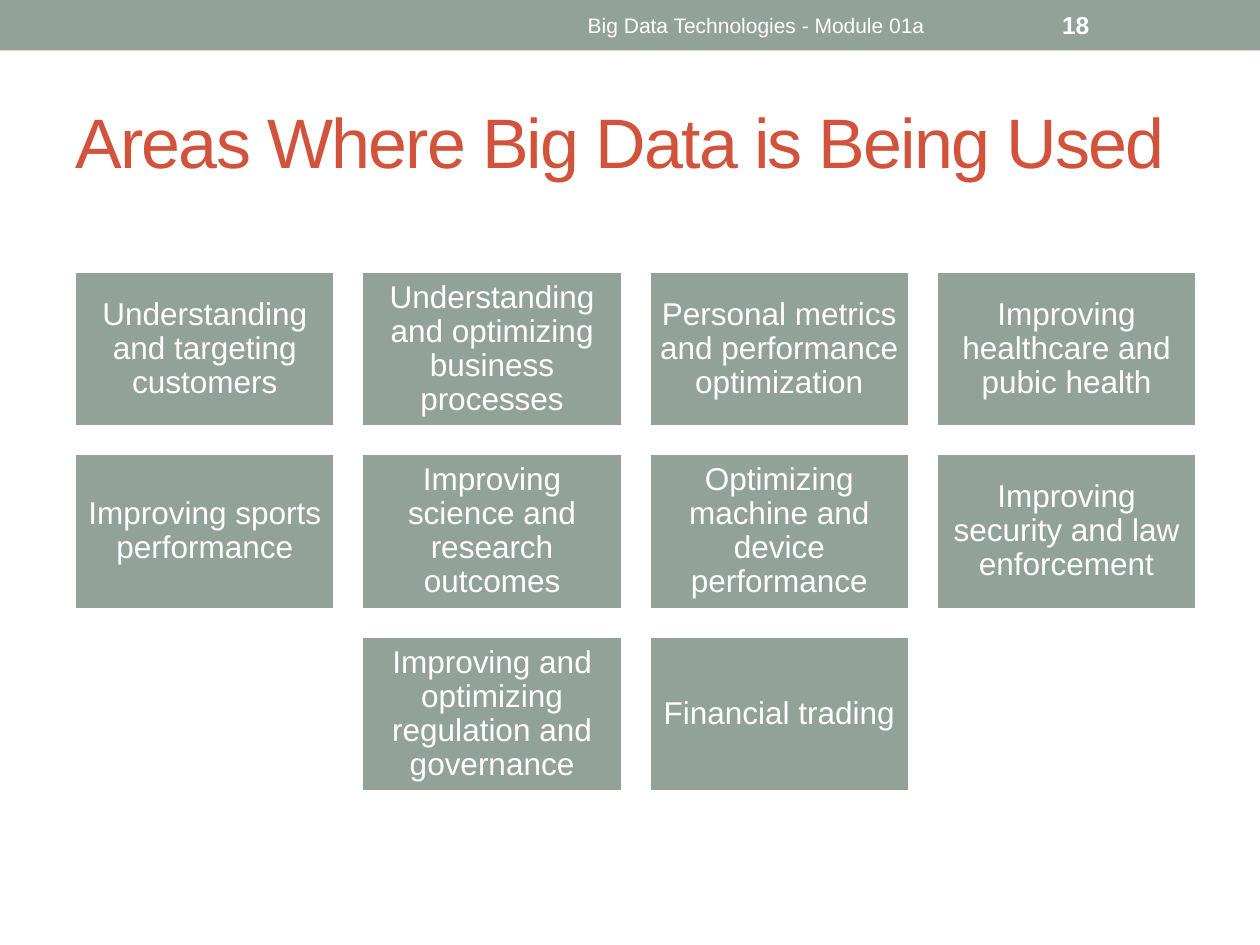
from pptx import Presentation
from pptx import util as u
from pptx.dml.color import RGBColor
from pptx.enum import shapes, text

SAGE, RUST, WHITE = "93A299", "D2533C", "FFFFFF"
COLUMNS = 4
AREA_ROWS = [
    ["Understanding and targeting customers",
     "Understanding and optimizing business processes",
     "Personal metrics and performance optimization",
     "Improving healthcare and pubic health"],
    ["Improving sports performance",
     "Improving science and research outcomes",
     "Optimizing machine and device performance",
     "Improving security and law enforcement"],
    ["Improving and optimizing regulation and governance",
     "Financial trading"],
]


def color(hex_code):
    return RGBColor.from_string(hex_code)


def write(holder, wording, size, hex_code=WHITE, align=text.PP_ALIGN.LEFT,
          bold=False, line_spacing=None, tracking=None, inset=None):
    frame = holder.text_frame
    frame.word_wrap = True
    frame.vertical_anchor = text.MSO_ANCHOR.MIDDLE
    if inset is not None:
        frame.margin_left = frame.margin_right = u.Cm(inset)
        frame.margin_top = frame.margin_bottom = u.Cm(inset)
    paragraph = frame.paragraphs[0]
    paragraph.alignment = align
    if line_spacing is not None:
        paragraph.line_spacing = line_spacing
    run = paragraph.add_run()
    run.text = wording
    run.font.name = "Arial"
    run.font.size = u.Pt(size)
    run.font.bold = bold
    run.font.color.rgb = color(hex_code)
    if tracking is not None:
        run.font._element.set("spc", str(tracking * 100))


def add_label(slide, wording, left, top, width, height, **style):
    label = slide.shapes.add_textbox(u.Cm(left), u.Cm(top), u.Cm(width), u.Cm(height))
    write(label, wording, **style)


def add_block(slide, left, top, width, height, outline=None):
    block = slide.shapes.add_shape(shapes.MSO_SHAPE.RECTANGLE, u.Cm(left),
                                   u.Cm(top), u.Cm(width), u.Cm(height))
    block.shadow.inherit = False
    block.fill.solid()
    block.fill.fore_color.rgb = color(SAGE)
    if outline:
        block.line.color.rgb = color(outline)
        block.line.width = u.Pt(2.08)
    else:
        block.line.fill.background()
    return block


def add_areas(slide, left=1.5, top=5.46, width=5.26, height=3.15, gap=0.53):
    for row, areas in enumerate(AREA_ROWS):
        first_column = (COLUMNS - len(areas)) / 2
        for column, area in enumerate(areas):
            tile = add_block(slide, left + (first_column + column) * (width + gap),
                             top + row * (height + gap), width, height, outline=WHITE)
            write(tile, area, size=18, align=text.PP_ALIGN.CENTER,
                  line_spacing=0.9, inset=0.18)


def main():
    deck = Presentation()
    deck.slide_width, deck.slide_height = u.Cm(25.4), u.Cm(19.05)
    slide = deck.slides.add_slide(deck.slide_layouts[6])
    add_block(slide, 0, 0, 25.4, 1.02)
    add_label(slide, "Areas Where Big Data is Being Used", 1.27, 1.47, 22.86, 2.74,
              size=40, hex_code=RUST, tracking=-1)
    add_label(slide, "Big Data Technologies - Module 01a", 9.53, 0.05, 11.43, 0.91,
              size=12, align=text.PP_ALIGN.CENTER)
    add_label(slide, "18", 21.16, 0.05, 2.97, 0.91, size=14, bold=True)
    add_areas(slide)
    deck.save("out.pptx")


if __name__ == "__main__":
    main()
